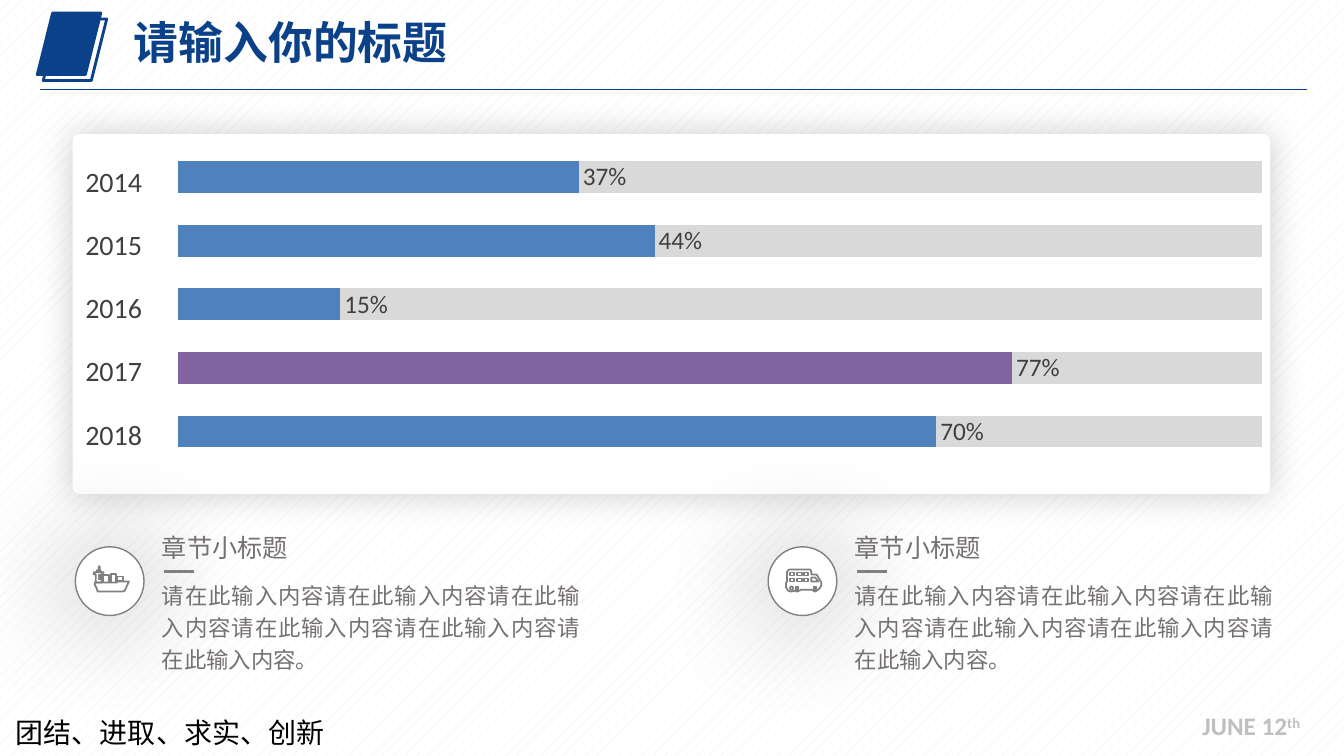
import math

from lxml import etree
from pptx import Presentation
from pptx import util as u
from pptx.chart import data as chart_data
from pptx.dml.color import RGBColor
from pptx.enum import chart as chart_enum
from pptx.enum import dml, shapes, text
from pptx.oxml import ns, parse_xml

Cm, Pt = u.Cm, u.Pt
NAVY = RGBColor(0x0B, 0x41, 0x89)
BLUE = RGBColor(0x4F, 0x81, 0xBD)
PURPLE = RGBColor(0x80, 0x64, 0xA2)
TRACK = RGBColor(0xD9, 0xD9, 0xD9)
SILVER = RGBColor(0xBF, 0xBF, 0xBF)
GREY = RGBColor(0x80, 0x80, 0x80)
WARM_GREY = RGBColor(0x76, 0x71, 0x71)
DARK = RGBColor(0x40, 0x40, 0x40)
BLACK = RGBColor(0, 0, 0)
WHITE = RGBColor(0xFF, 0xFF, 0xFF)
CREAM = RGBColor(0xEE, 0xEC, 0xE1)
SANS, JP, LATIN = "Noto Sans CJK SC", "Noto Sans CJK JP", "Calibri"
BODY = "请在此输入内容" * 6 + "。"


def write(shape, content, size, font, color, bold=False, wrap=True):
    """Add one run to the first paragraph of the shape and return it."""
    shape.text_frame.word_wrap = wrap
    run = shape.text_frame.paragraphs[0].add_run()
    run.text = content
    run.font.size, run.font.name, run.font.bold = Pt(size), font, bold
    run.font.color.rgb = color
    etree.SubElement(run._r.get_or_add_rPr(), ns.qn("a:ea"), typeface=font)
    return run


def style(shape, line=None, width=1, fill=None, shadow=None):
    """Set outline and fill; shadow is (opacity in percent, blur in points)."""
    effects = etree.SubElement(shape._element.spPr, ns.qn("a:effectLst"))
    if shadow:
        outer = etree.SubElement(effects, ns.qn("a:outerShdw"), dist="0", algn="ctr",
                                 rotWithShape="0", blurRad=str(Pt(shadow[1])))
        black = etree.SubElement(outer, ns.qn("a:srgbClr"), val="000000")
        etree.SubElement(black, ns.qn("a:alpha"), val=str(shadow[0] * 1000))
    if line is None:
        shape.line.fill.background()
    else:
        shape.line.color.rgb, shape.line.width = line, Pt(width)
    if fill is not None:
        shape.fill.solid()
        shape.fill.fore_color.rgb = fill
    elif hasattr(shape, "fill"):
        shape.fill.background()


presentation = Presentation()
presentation.slide_width, presentation.slide_height = Cm(33.87), Cm(19.05)
slide = presentation.slides.add_slide(presentation.slide_layouts[5])
canvas = slide.shapes

background = slide.background.fill
background.patterned()
background.pattern = dml.MSO_PATTERN.PERCENT_10
background.fore_color.rgb, background.back_color.rgb = CREAM, WHITE

# Header and footer
for left, top, fill in ((0.94, 0.33, NAVY), (1.09, 0.48, None)):
    emblem = canvas.add_shape(shapes.MSO_SHAPE.PARALLELOGRAM, Cm(left), Cm(top), Cm(1.6), Cm(1.55))
    style(emblem, NAVY, 2, fill)

header_rule = canvas.add_connector(shapes.MSO_CONNECTOR.STRAIGHT,
                                   Cm(1.02), Cm(2.26), Cm(32.94), Cm(2.26))
style(header_rule, NAVY, 0.75)

title = canvas.title
title.left, title.top, title.width, title.height = Cm(3.12), Cm(0.53), Cm(14), Cm(1.7)
title.text_frame.auto_size = text.MSO_AUTO_SIZE.NONE
title.text_frame.vertical_anchor = text.MSO_ANCHOR.TOP
title.text_frame.margin_top = 0
write(title, "请输入你的标题", 32, SANS, NAVY, bold=True)
title.text_frame.paragraphs[0].alignment = text.PP_ALIGN.LEFT
title.text_frame.paragraphs[0].line_spacing = 0.9

motto = canvas.add_textbox(Cm(0.15), Cm(17.91), Cm(9.68), Cm(1.12))
write(motto, "团结、进取、求实、创新", 20, JP, BLACK)

date = canvas.add_textbox(Cm(30.05), Cm(17.78), Cm(3.05), Cm(1.02))
write(date, "JUNE 12", 18, LATIN, SILVER, bold=True, wrap=False)
suffix = write(date, "th", 18, LATIN, SILVER, bold=True, wrap=False)
suffix._r.get_or_add_rPr().set("baseline", "30000")

# Chart card
card = canvas.add_shape(shapes.MSO_SHAPE.ROUNDED_RECTANGLE, Cm(1.83), Cm(3.38), Cm(30.18), Cm(9.07))
card.adjustments[0] = 0.018
style(card, fill=WHITE, shadow=(20, 25))

for row in range(5):
    year = canvas.add_textbox(Cm(1.9), Cm(4.01 + 1.595 * row), Cm(2.5), Cm(1.12))
    write(year, str(2014 + row), 20, LATIN, DARK)

progress = chart_data.CategoryChartData()
progress.categories = ["1", "2", "3", "4", "5"]
progress.add_series("Series 1", [1] * 5)
progress.add_series("Series 2", [0.7, 0.77, 0.15, 0.44, 0.37])
chart = canvas.add_chart(chart_enum.XL_CHART_TYPE.BAR_CLUSTERED, Cm(3.91), Cm(3.66),
                         Cm(33.55), Cm(8.79), progress).chart
chart.has_legend = chart.has_title = False
chart.font.size, chart.font.name = Pt(10), LATIN
chart.font.color.rgb = BLACK
for axis in (chart.category_axis, chart.value_axis):
    axis.has_major_gridlines = False
    axis.visible = False
chart.value_axis.minimum_scale, chart.value_axis.maximum_scale = 0, 1.2
plot = chart.plots[0]
plot.gap_width, plot.overlap, plot.vary_by_categories = 100, 100, False
for series, color in zip(plot.series, (TRACK, BLUE)):
    series.format.fill.solid()
    series.format.fill.fore_color.rgb = color
best_year = plot.series[1].points[1].format.fill
best_year.solid()
best_year.fore_color.rgb = PURPLE
labels = plot.series[1].data_labels
labels.show_value = True
labels.position = chart_enum.XL_LABEL_POSITION.OUTSIDE_END
labels.number_format, labels.number_format_is_linked = "0%", False
labels.font.size, labels.font.name = Pt(18), LATIN
labels.font.color.rgb = DARK

plot_area = chart._chartSpace.chart.plotArea
for layout in plot_area.findall(ns.qn("c:layout")):
    plot_area.remove(layout)
plot_area.insert(0, parse_xml(
    f'<c:layout {ns.nsdecls("c")}><c:manualLayout><c:layoutTarget val="inner"/>'
    '<c:xMode val="edge"/><c:yMode val="edge"/><c:x val="0.017"/><c:y val="0"/>'
    '<c:w val="0.977"/><c:h val="0.912"/></c:manualLayout></c:layout>'))

# Icon outlines, in hundredths of an inch from the top left of each icon
ship = [
    [(35, 15), (31, 24), (29, 25), (4, 25), (3, 22), (1, 18), (1, 16), (23, 16), (24, 15)],
    [(10, 6), (8, 8), (8, 16), (2, 16), (2, 8), (0, 8), (0, 6), (5, 6), (5, 5), (3, 5),
     (3, 4), (5, 4), (5, 0), (6, 0), (6, 4), (7, 4), (7, 5), (6, 5), (6, 6)],
]
bus = [
    [(35, 13), (31, 6), (30, 5), (25, 5), (25, 2), (24, 0), (3, 0), (1, 2), (1, 12), (0, 13),
     (0, 18), (2, 21), (5, 22), (8, 21), (11, 22), (15, 20), (25, 20), (29, 22), (33, 19),
     (35, 16)],
    [(25, 12), (25, 8), (29, 8), (32, 12)],
]
ship_boxes = [(17, 8, 5, 8), (23, 10, 6, 4), (9, 9, 6, 7), (5, 11, 2, 2), (5, 9, 2, 1)]
bus_windows = [(x, y, 4.5, 3) for x in (4, 11, 18) for y in (3, 9)]
for outline, boxes in ((ship, ship_boxes), (bus, bus_windows)):
    for x, y, width, height in boxes:
        outline.append([(x, y), (x + width, y), (x + width, y + height), (x, y + height)])
for wheel in (5.5, 11, 29):
    angles = [math.tau * step / 12 for step in range(12)]
    bus.append([(wheel + 1.5 * math.cos(a), 18.5 + 1.5 * math.sin(a)) for a in angles])

# Two captioned sections
for column, (outline, icon_left, icon_top) in enumerate(((ship, 2.36, 14.27), (bus, 19.81, 14.35))):
    shift = 17.46 * column
    circle = canvas.add_shape(shapes.MSO_SHAPE.OVAL, Cm(1.9 + shift), Cm(13.78), Cm(1.73), Cm(1.73))
    style(circle, GREY, 1, WHITE, shadow=(40, 81))

    builder = canvas.build_freeform(*outline[0][0], scale=Cm(2.54) / 100)
    for index, contour in enumerate(outline):
        if index:
            builder.move_to(*contour[0])
        builder.add_line_segments(contour[1:], close=True)
    icon = builder.convert_to_shape(Cm(icon_left), Cm(icon_top))
    style(icon, GREY, 1.25)

    heading = canvas.add_textbox(Cm(3.83 + shift), Cm(13.13), Cm(4.4), Cm(1.1))
    write(heading, "章节小标题", 18, SANS, WARM_GREY)
    body = canvas.add_textbox(Cm(3.83 + shift), Cm(14.4), Cm(11.05), Cm(2.64))
    write(body, BODY, 16, SANS, WARM_GREY)
    body.text_frame.paragraphs[0].alignment = text.PP_ALIGN.JUSTIFY
    for caption in (heading, body):
        caption.text_frame.paragraphs[0].line_spacing = 1.2

    dash = canvas.add_connector(shapes.MSO_CONNECTOR.STRAIGHT, Cm(4.14 + shift), Cm(14.4),
                                Cm(4.9 + shift), Cm(14.4))
    style(dash, GREY, 1.5)

presentation.save("out.pptx")
